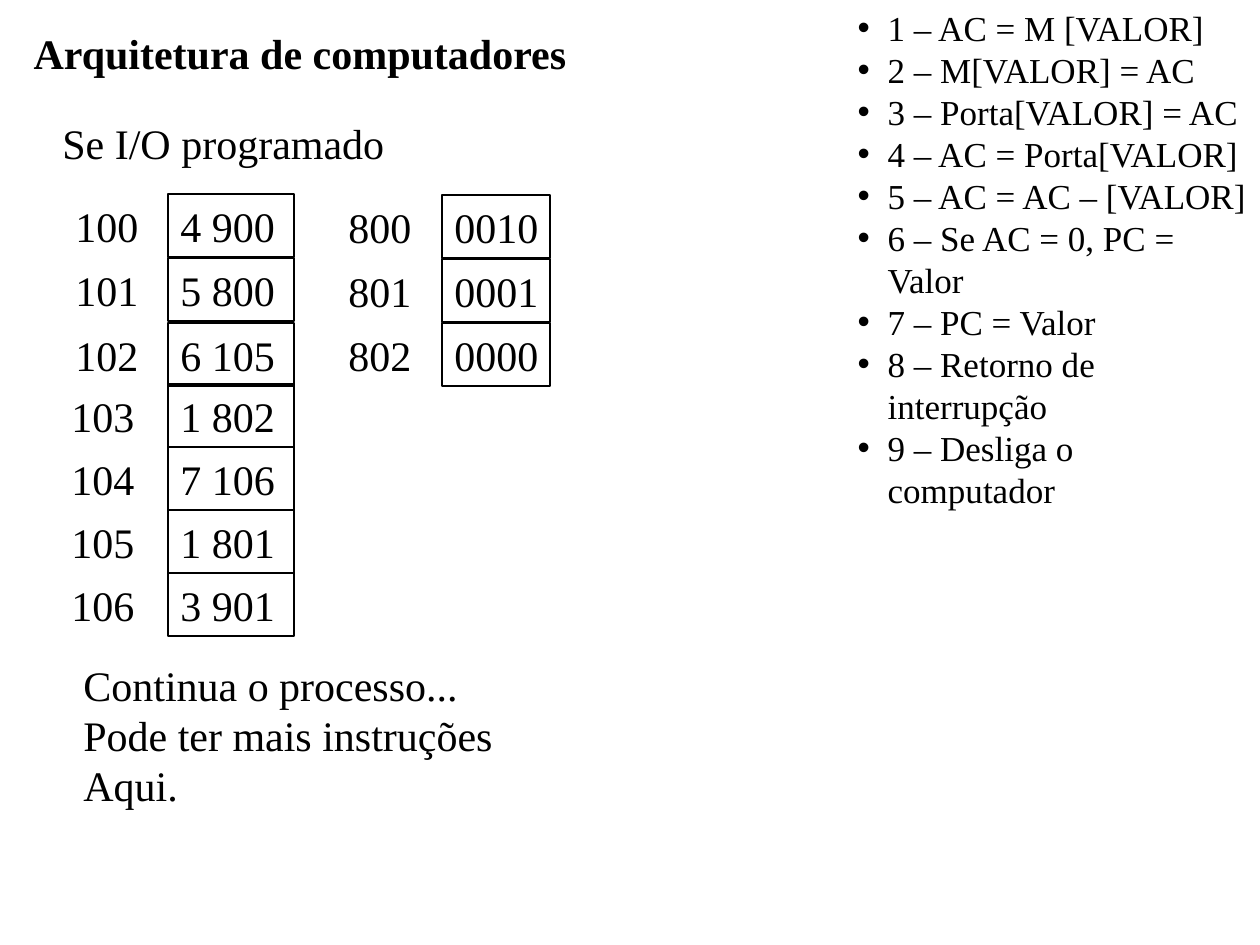
from pptx import Presentation
from pptx import util as u
from pptx.dml.color import RGBColor
from pptx.enum import shapes, text

BLACK = RGBColor(0, 0, 0)
SCALE = 914400 / 126
FRAME = {
    "auto_size": text.MSO_AUTO_SIZE.NONE,
    "vertical_anchor": text.MSO_ANCHOR.TOP,
    "margin_left": u.Inches(0.1),
    "margin_right": u.Inches(0.1),
    "margin_top": u.Inches(0.05),
    "margin_bottom": u.Inches(0.05),
}


def px(length):
    return u.Emu(round(length * SCALE))


def write(shape, box, lines, size=24, bold=False, wrap=False):
    shape.left, shape.top, shape.width, shape.height = map(px, box)
    frame = shape.text_frame
    frame.text = "\n".join(lines)
    for name, value in {**FRAME, "word_wrap": wrap}.items():
        setattr(frame, name, value)
    paragraph_format = {
        "alignment": text.PP_ALIGN.LEFT,
        "line_spacing": u.Pt(size * 1.2),
        "space_before": u.Pt(0),
        "space_after": u.Pt(0),
    }
    font_format = {"name": "Times New Roman", "size": u.Pt(size), "bold": bold}
    for paragraph in frame.paragraphs:
        for name, value in paragraph_format.items():
            setattr(paragraph, name, value)
        for run in paragraph.runs:
            for name, value in font_format.items():
                setattr(run.font, name, value)
            run.font.color.rgb = BLACK


presentation = Presentation()
presentation.slide_width, presentation.slide_height = px(1260), px(945)
slide = presentation.slides.add_slide(presentation.slide_layouts[1])
title, instruction_list = slide.placeholders

write(title, (21, 21, 560, 63), ["Arquitetura de computadores"], bold=True)

instructions = [
    "1 – AC = M [VALOR]",
    "2 – M[VALOR] = AC",
    "3 – Porta[VALOR] = AC",
    "4 – AC = Porta[VALOR]",
    "5 – AC = AC – [VALOR]",
    "6 – Se AC = 0, PC = Valor",
    "7 – PC = Valor",
    "8 – Retorno de interrupção",
    "9 – Desliga o computador",
]
write(instruction_list, (845, 0, 415, 391), instructions, size=20, wrap=True)
for paragraph in instruction_list.text_frame.paragraphs:
    properties = paragraph._p.get_or_add_pPr()
    properties.set("marL", str(px(30)))
    properties.set("indent", str(-px(30)))

memory = [
    (63, 168, 126, 194, "100", "4 900"),
    (63, 168, 126, 258, "101", "5 800"),
    (63, 168, 126, 323, "102", "6 105"),
    (59, 168, 126, 384, "103", "1 802"),
    (59, 168, 126, 447, "104", "7 106"),
    (59, 168, 126, 510, "105", "1 801"),
    (59, 168, 126, 573, "106", "3 901"),
    (336, 442, 108, 195, "800", "0010"),
    (336, 442, 108, 259, "801", "0001"),
    (336, 442, 108, 323, "802", "0000"),
]
for label_left, cell_left, cell_width, top, address, value in memory:
    label = slide.shapes.add_textbox(0, 0, 0, 0)
    write(label, (label_left, top, 88, 63), [address])
    cell = slide.shapes.add_shape(shapes.MSO_SHAPE.RECTANGLE, 0, 0, 0, 0)
    cell.shadow.inherit = False
    cell.fill.background()
    cell.line.color.rgb = BLACK
    cell.line.width = u.Pt(0.75)
    write(cell, (cell_left, top, cell_width, 63), [value], wrap=cell_width == 126)

notes = [
    ((71, 653, 445, 214), ["Continua o processo...", "Pode ter mais instruções", "Aqui."]),
    ((50, 111, 347, 63), ["Se I/O programado"]),
]
for box, lines in notes:
    write(slide.shapes.add_textbox(0, 0, 0, 0), box, lines)

presentation.save("out.pptx")
